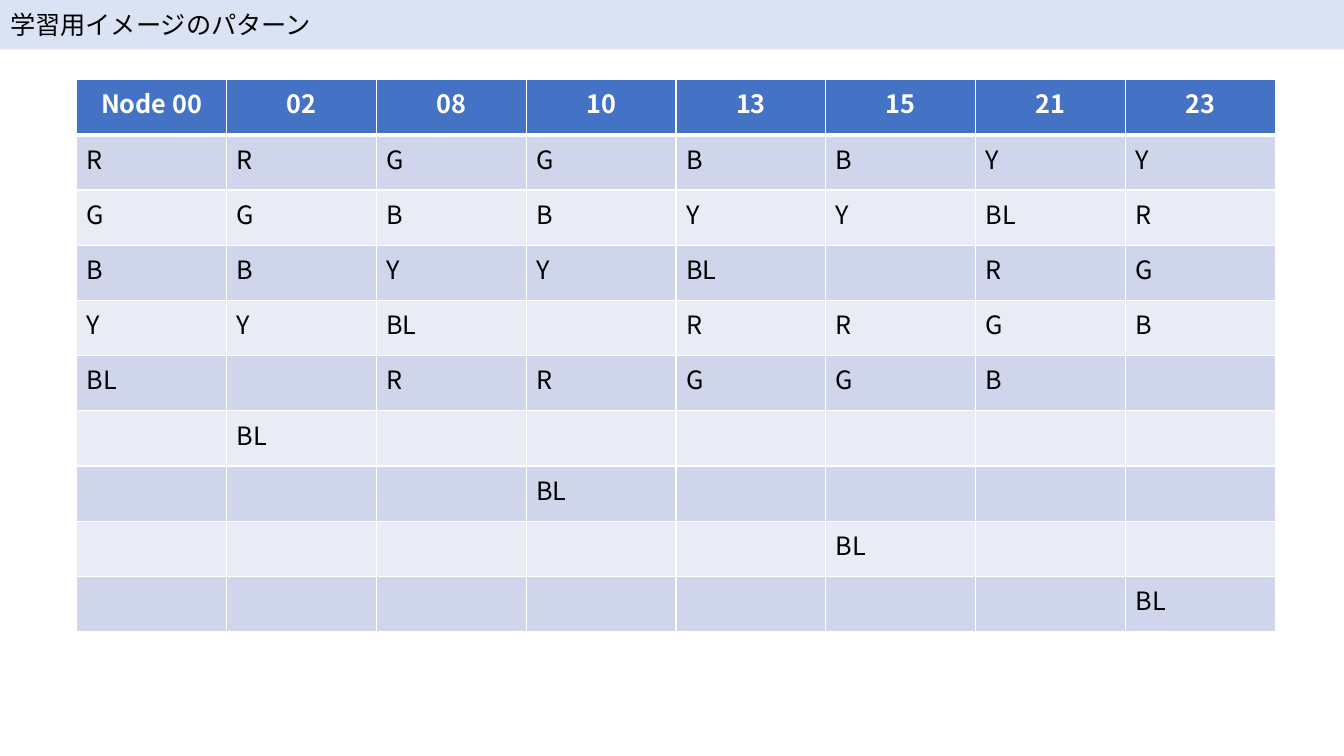
from dataclasses import dataclass

import pptx
import pptx.dml.color
import pptx.enum.text
import pptx.oxml
import pptx.oxml.ns
import pptx.util
from pptx.util import Inches


@dataclass(frozen=True)
class Theme:
    font: str = "Noto Sans CJK JP"
    size: int = 18
    text: str = "000000"
    light: str = "FFFFFF"
    band: str = "DAE3F3"
    head: str = "4472C4"
    rows: tuple = ("CFD5EA", "E9EBF5")


THEME = Theme()
ALIGN = pptx.enum.text.PP_ALIGN
NODES = ["Node 00", "02", "08", "10", "13", "15", "21", "23"]
# Colour shown by each node, one line per training pattern
PATTERNS = """\
R,R,G,G,B,B,Y,Y
G,G,B,B,Y,Y,BL,R
B,B,Y,Y,BL,,R,G
Y,Y,BL,,R,R,G,B
BL,,R,R,G,G,B,
,BL,,,,,,
,,,BL,,,,
,,,,,BL,,
,,,,,,,BL"""


def paint(item, color):
    item.fill.solid()
    item.fill.fore_color.rgb = pptx.dml.color.RGBColor.from_string(color)


def write(frame, text, color, bold=False, align=ALIGN.LEFT):
    frame.text = text
    para = frame.paragraphs[0]
    para.alignment = align
    font = para.font
    font.name = THEME.font
    font.size = pptx.util.Pt(THEME.size)
    font.bold = bold
    font.color.rgb = pptx.dml.color.RGBColor.from_string(color)
    # East Asian text takes its own typeface element
    latin = para._p.find(".//" + pptx.oxml.ns.qn("a:latin"))
    latin.addnext(pptx.oxml.parse_xml(
        f'<a:ea {pptx.oxml.ns.nsdecls("a")} typeface="{THEME.font}"/>'))


def edge(cell, top, bottom):
    """Draw the cell's borders, with top and bottom widths in points."""
    props = cell._tc.get_or_add_tcPr()
    sides = {"lnL": 1, "lnR": 1, "lnT": top, "lnB": bottom}
    for place, (side, width) in enumerate(sides.items()):
        props.insert(place, pptx.oxml.parse_xml(
            f'<a:{side} {pptx.oxml.ns.nsdecls("a")} w="{pptx.util.Pt(width)}">'
            f'<a:solidFill><a:srgbClr val="{THEME.light}"/></a:solidFill>'
            f'</a:{side}>'))


def add_title(slide, text):
    title = slide.shapes.title
    title.left, title.top = Inches(0), Inches(0)
    title.width, title.height = Inches(13.33), Inches(0.49)
    paint(title, THEME.band)
    frame = title.text_frame
    frame.word_wrap = True
    frame.auto_size = pptx.enum.text.MSO_AUTO_SIZE.NONE
    frame.vertical_anchor = pptx.enum.text.MSO_ANCHOR.MIDDLE
    write(frame, text, THEME.text)


def add_grid(slide, heads, body):
    lines = [heads] + body
    table = slide.shapes.add_table(
        len(lines), len(heads), Inches(0.76), Inches(0.79),
        Inches(11.89), Inches(5.48)).table
    for r, line in enumerate(lines):
        for c, text in enumerate(line):
            cell = table.cell(r, c)
            if r == 0:
                paint(cell, THEME.head)
                write(cell.text_frame, text, THEME.light, True, ALIGN.CENTER)
            else:
                paint(cell, THEME.rows[(r - 1) % 2])
                write(cell.text_frame, text, THEME.text)
            edge(cell, 3 if r == 1 else 1, 3 if r == 0 else 1)


def main():
    deck = pptx.Presentation()
    deck.slide_width, deck.slide_height = Inches(13.33), Inches(7.5)
    slide = deck.slides.add_slide(deck.slide_layouts.get_by_name("Title Only"))
    add_title(slide, "学習用イメージのパターン")
    add_grid(slide, NODES, [line.split(",") for line in PATTERNS.splitlines()])
    deck.save("out.pptx")


if __name__ == "__main__":
    main()
